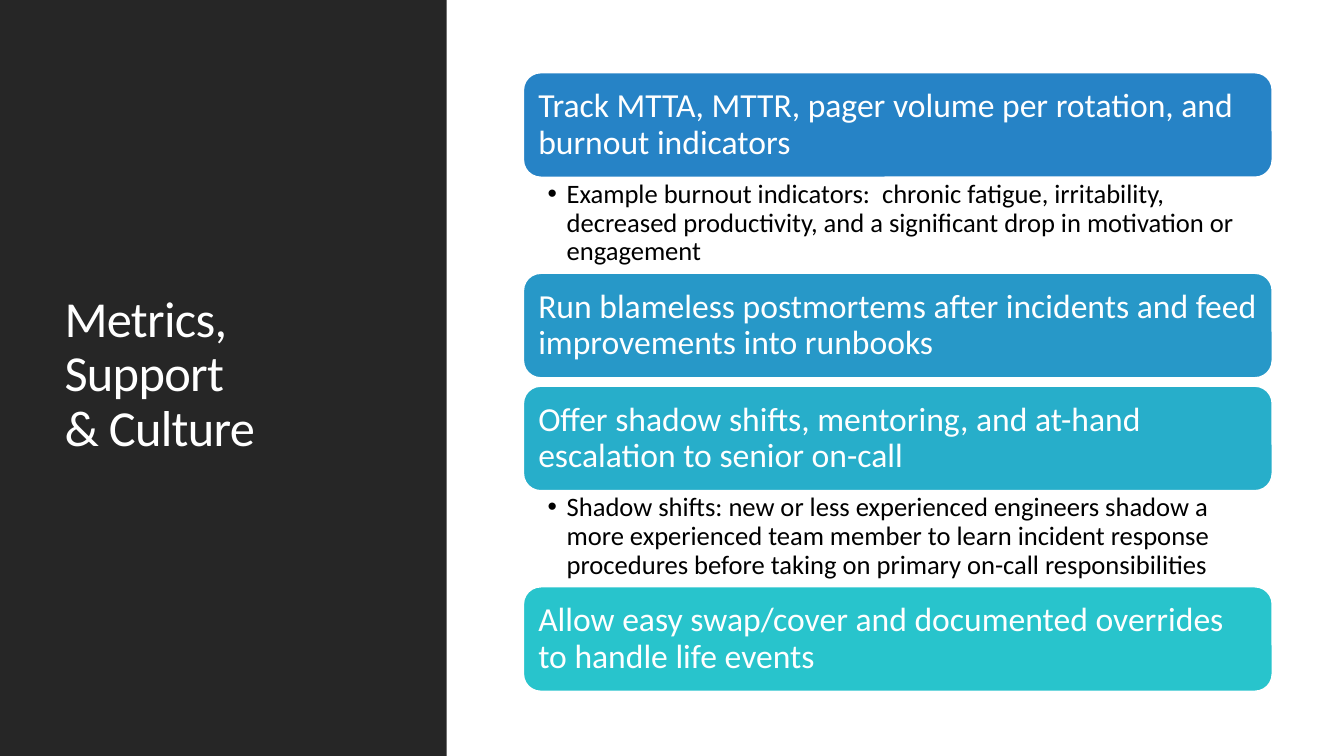
"""Build the metrics, support and culture slide with its stacked headline cards."""
from dataclasses import dataclass
from typing import Any

from lxml.etree import SubElement
from pptx import Presentation
from pptx.dml.color import RGBColor
from pptx.enum.shapes import MSO_SHAPE
from pptx.enum.text import MSO_ANCHOR, MSO_AUTO_SIZE, PP_ALIGN
from pptx.oxml.ns import qn
from pptx.util import Emu, Pt

EMU_PER_PX = 9144


@dataclass(frozen=True)
class Theme:
    font: str = "Calibri"
    dark: str = "262626"
    light: str = "FFFFFF"
    ink: str = "000000"
    title_size: int = 36
    headline_size: int = 24
    detail_size: int = 19
    outline_width: float = 1.25


@dataclass(frozen=True)
class Area:
    left: int
    top: int
    width: int
    height: int


@dataclass(frozen=True)
class Insets:
    left: int
    top: int
    right: int
    bottom: int


@dataclass(frozen=True)
class Card:
    headline: str
    color: str
    detail: str = ""


THEME = Theme()
PAGE = Area(0, 0, 1333, 750)
PANEL = Area(0, 0, 443, 750)
TITLE_AREA = Area(54, 57, 337, 631)
STACK_LEFT, STACK_TOP, STACK_WIDTH = 519, 72, 743
HEADLINE_HEIGHT, DETAIL_HEIGHT, CARD_GAP = 104, 95, 8
BULLET_INDENT = 19
HEADLINE_INSETS = Insets(10, 10, 10, 10)
DETAIL_INSETS = Insets(24, 3, 19, 3)
TITLE_INSETS = Insets(10, 5, 10, 5)

TITLE = "Metrics, Support\v& Culture"
CARDS = [
    Card("Track MTTA, MTTR, pager volume per rotation, and burnout indicators", "2683C6",
         "Example burnout indicators:  chronic fatigue, irritability, decreased productivity, "
         "and a significant drop in motivation or engagement"),
    Card("Run blameless postmortems after incidents and feed improvements into runbooks", "2798C8"),
    Card("Offer shadow shifts, mentoring, and at-hand escalation to senior on-call", "27AECA",
         "Shadow shifts: new or less experienced engineers shadow a more experienced team member "
         "to learn incident response procedures before taking on primary on-call responsibilities"),
    Card("Allow easy swap/cover and documented overrides to handle life events", "28C4CC"),
]


def px(length: int) -> Emu:
    """Turn px into EMU."""
    return Emu(length * EMU_PER_PX)


def apply_format(target: Any, values: dict[str, Any]) -> None:
    """Set every attribute named in the values."""
    for name, value in values.items():
        setattr(target, name, value)


def place(box: Any, area: Area) -> None:
    """Move and size a box."""
    apply_format(box, {side: px(getattr(area, side)) for side in ("left", "top", "width", "height")})


def bring_to_front(box: Any) -> None:
    """Raise a box above all others on the page."""
    box.element.getparent().append(box.element)


def add_block(page: Any, kind: MSO_SHAPE, area: Area, color: str) -> Any:
    """Add a filled shape without outline or shadow."""
    box = page.shapes.add_shape(kind, px(area.left), px(area.top), px(area.width), px(area.height))
    box.shadow.inherit = False
    box.fill.solid()
    box.fill.fore_color.rgb = RGBColor.from_string(color)
    box.line.fill.background()
    return box


def add_bullet(para: Any) -> None:
    """Give a paragraph a hanging round bullet."""
    properties = para._p.get_or_add_pPr()
    properties.set("marL", str(px(BULLET_INDENT)))
    properties.set("indent", str(-px(BULLET_INDENT)))
    SubElement(properties, qn("a:buFont")).set("typeface", "Arial")
    SubElement(properties, qn("a:buChar")).set("char", "•")


def write(box: Any, text: str, size: int, color: str, insets: Insets,
          anchor: MSO_ANCHOR = MSO_ANCHOR.MIDDLE, bulleted: bool = False) -> Any:
    """Fill a box with one formatted paragraph and return it."""
    frame = box.text_frame
    apply_format(frame, {
        "word_wrap": True,
        "auto_size": MSO_AUTO_SIZE.NONE,
        "vertical_anchor": anchor,
        **{f"margin_{side}": px(getattr(insets, side)) for side in ("left", "top", "right", "bottom")},
    })
    para = frame.paragraphs[0]
    para.text = text
    apply_format(para, {"alignment": PP_ALIGN.LEFT, "line_spacing": 0.9, "space_before": Pt(0)})
    if bulleted:
        add_bullet(para)
    for span in para.runs:
        apply_format(span.font, {"name": THEME.font, "size": Pt(size)})
        span.font.color.rgb = RGBColor.from_string(color)
    return para


def draw_title(page: Any) -> None:
    """Draw the dark panel and the title on it."""
    add_block(page, MSO_SHAPE.RECTANGLE, PANEL, THEME.dark)
    title = page.shapes.title
    place(title, TITLE_AREA)
    bring_to_front(title)
    para = write(title, TITLE, THEME.title_size, THEME.light, TITLE_INSETS)
    for span in para.runs:
        span.font._element.set("spc", "-50")


def draw_headline(page: Any, card: Card, top: int) -> None:
    """Draw the coloured headline of a card."""
    area = Area(STACK_LEFT, top, STACK_WIDTH, HEADLINE_HEIGHT)
    box = add_block(page, MSO_SHAPE.ROUNDED_RECTANGLE, area, card.color)
    box.line.color.rgb = RGBColor.from_string(THEME.light)
    box.line.width = Pt(THEME.outline_width)
    write(box, card.headline, THEME.headline_size, THEME.light, HEADLINE_INSETS)


def draw_cards(page: Any) -> None:
    """Stack the cards, each detail in the next body placeholder."""
    bodies = iter([box for box in page.placeholders if box.placeholder_format.idx in (1, 2)])
    top = STACK_TOP
    for card in CARDS:
        draw_headline(page, card, top)
        top += HEADLINE_HEIGHT
        if card.detail:
            body = next(bodies)
            place(body, Area(STACK_LEFT, top, STACK_WIDTH, DETAIL_HEIGHT))
            bring_to_front(body)
            write(body, card.detail, THEME.detail_size, THEME.ink, DETAIL_INSETS, MSO_ANCHOR.TOP, True)
        top += DETAIL_HEIGHT if card.detail else CARD_GAP


def main() -> None:
    """Build and save the deck."""
    deck = Presentation()
    apply_format(deck, {"slide_width": px(PAGE.width), "slide_height": px(PAGE.height)})
    page = deck.slides.add_slide(deck.slide_layouts.get_by_name("Two Content"))
    draw_title(page)
    draw_cards(page)
    deck.save("out.pptx")


if __name__ == "__main__":
    main()
